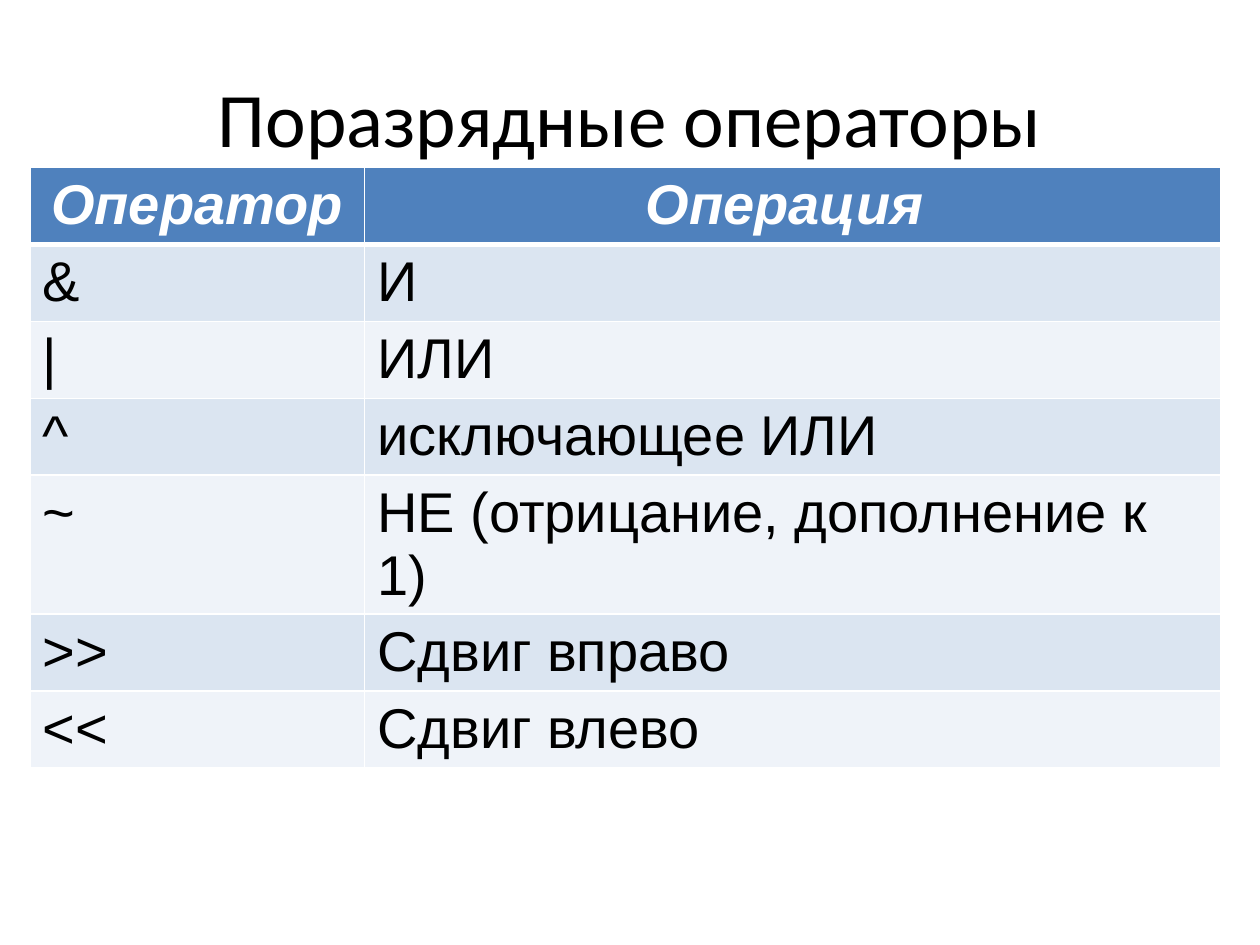
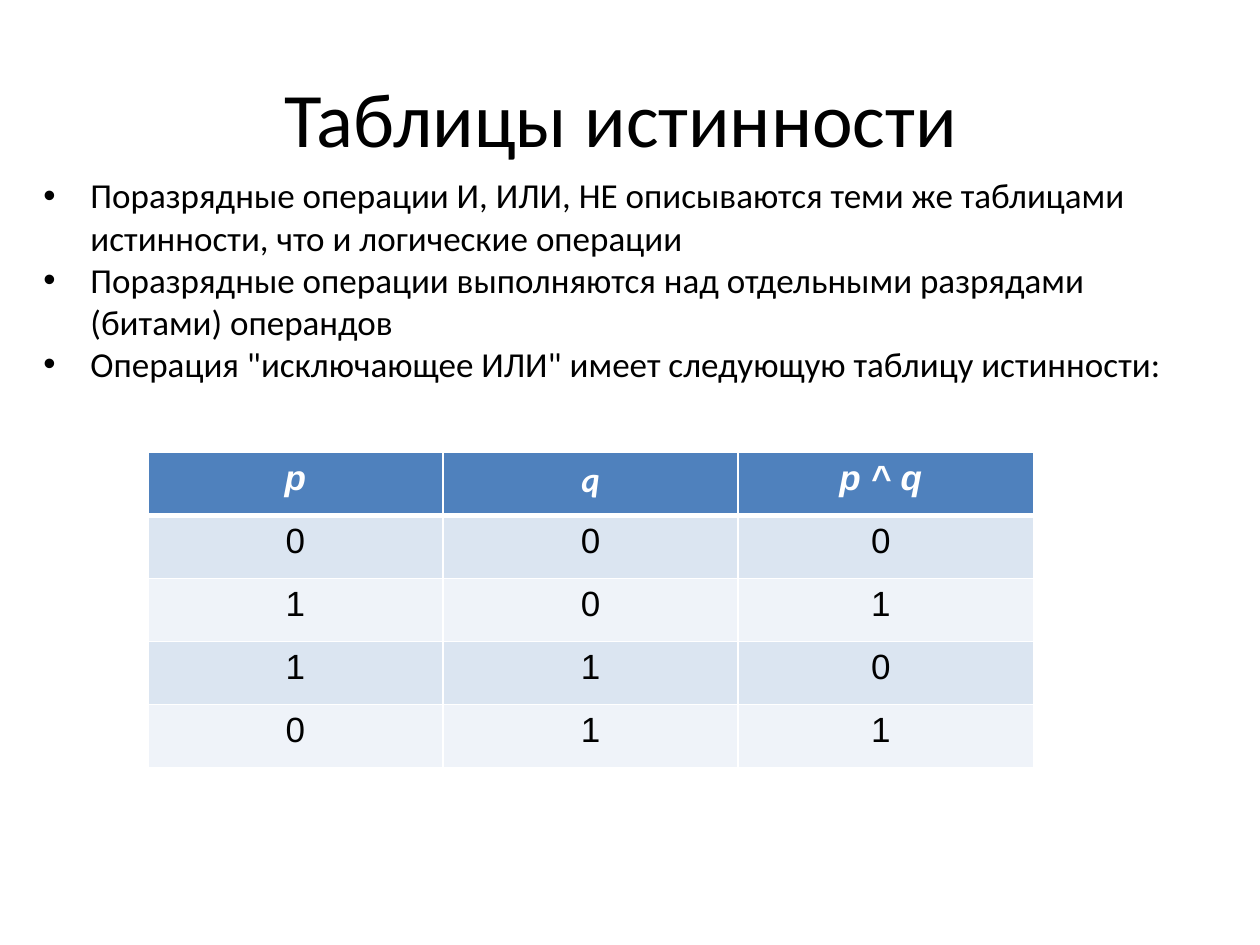
from lxml import etree
from pptx import Presentation
from pptx.dml.color import RGBColor
from pptx.enum.text import MSO_ANCHOR, MSO_AUTO_SIZE, PP_ALIGN
from pptx.oxml.ns import qn
from pptx.util import Cm, Pt

LEFT, MID = PP_ALIGN.LEFT, PP_ALIGN.CENTER
TOP, CENTER = MSO_ANCHOR.TOP, MSO_ANCHOR.MIDDLE
FIXED = MSO_AUTO_SIZE.NONE
TEXT, HEAD, LINE = "000000", "4F81BD", "FFFFFF"
BANDS = ("DBE5F1", "EFF3F9")
THIN, THICK = 0.96, 3
TITLE_BOX = (1.27, 0.76, 22.86, 3.18)

prs = Presentation()
prs.slide_width, prs.slide_height = Cm(25.4), Cm(19.05)


def rgb(code):
    return RGBColor.from_string(code)


def style(run, color=TEXT, **font):
    """Set font attributes given as keywords."""
    run.font.color.rgb = rgb(color)
    for name, value in font.items():
        setattr(run.font, name, value)


def place(shape, box):
    """Move a shape to a box given in centimetres."""
    for name, value in zip(("left", "top", "width", "height"), box):
        setattr(shape, name, Cm(value))


def fill_text(holder, box, lines, anchor, align, size):
    """Put lines of text in a placeholder and return its paragraphs."""
    place(holder, box)
    frame = holder.text_frame
    frame.text = "\n".join(lines)
    frame.auto_size, frame.word_wrap = FIXED, True
    frame.vertical_anchor = anchor
    for para in frame.paragraphs:
        para.alignment, para.space_before = align, Pt(0)
        style(para.runs[0], size=Pt(size), name="Calibri")
    return frame.paragraphs


def add_slide(layout, title):
    slide = prs.slides.add_slide(prs.slide_layouts[layout])
    fill_text(slide.shapes.title, TITLE_BOX, [title], CENTER, MID, 44)
    return slide


def add_list(slide, box, items):
    holder = slide.placeholders[1]
    for para in fill_text(holder, box, items, TOP, LEFT, 20):
        props = para._p.get_or_add_pPr()
        props.set("marL", str(Cm(0.97)))
        props.set("indent", str(Cm(-0.95)))
        mark = etree.SubElement(props, qn("a:buChar"))
        mark.set("char", "•")


def add_edges(cell, row):
    """Draw white borders, thick between the header and the body."""
    props = cell._tc.get_or_add_tcPr()
    for side in "LRTB":
        heavy = (row, side) in ((0, "B"), (1, "T"))
        edge = etree.SubElement(props, qn("a:ln" + side))
        edge.set("w", str(Pt(THICK if heavy else THIN)))
        paint = etree.SubElement(edge, qn("a:solidFill"))
        etree.SubElement(paint, qn("a:srgbClr")).set("val", LINE)


def add_grid(slide, left, top, cols, rows, data, size, align, fonts):
    """Add a banded table; fonts names the header font of each column."""
    box = [Cm(n) for n in (left, top, sum(cols), sum(rows))]
    grid = slide.shapes.add_table(len(rows), len(cols), *box).table
    for col, width in zip(grid.columns, cols):
        col.width = Cm(width)
    for i, (height, texts) in enumerate(zip(rows, data)):
        grid.rows[i].height = Cm(height)
        head = i == 0
        for j, text in enumerate(texts):
            cell = grid.cell(i, j)
            add_edges(cell, i)
            cell.fill.solid()
            cell.fill.fore_color.rgb = rgb(HEAD if head else BANDS[(i - 1) % 2])
            para = cell.text_frame.paragraphs[0]
            para.alignment = MID if head else align
            run = para.add_run()
            run.text = text
            style(run, LINE if head else TEXT, size=Pt(size), bold=head,
                  italic=head, name=fonts[j] if head else "Arial")


# Bitwise operators
slide = add_slide(5, "Поразрядные операторы")
row = 1.55
add_grid(slide, 0.6, 3.38, (6.75, 17.25), [row] * 4 + [2.8] + [row] * 2, [
    ("Оператор", "Операция "),
    ("&", "И "),
    ("|", "ИЛИ "),
    ("^", "исключающее ИЛИ "),
    ("~", "НЕ (отрицание, дополнение к 1) "),
    (">>", "Сдвиг вправо "),
    ("<<", "Сдвиг влево "),
], 32, LEFT, ("Arial", "Arial"))

# Truth tables
slide = add_slide(1, "Таблицы истинности ")
add_list(slide, (0.6, 3.38, 24, 2.97), [
    "Поразрядные операции И, ИЛИ, НЕ описываются теми же таблицами "
    "истинности, что и логические операции ",
    "Поразрядные операции выполняются над отдельными разрядами "
    "(битами) операндов",
    "Операция \"исключающее ИЛИ\" имеет следующую таблицу истинности:",
])
pairs = ((0, 0), (1, 0), (1, 1), (0, 1))
truth = [(str(p), str(q), f"{p ^ q} ") for p, q in pairs]
add_grid(slide, 2.98, 9.12, [5.95] * 3, [1.27] * 5,
         [("p", "q", "p ^ q ")] + truth, 20, MID,
         ("Arial", "Calibri", "Arial"))

prs.save("out.pptx")
